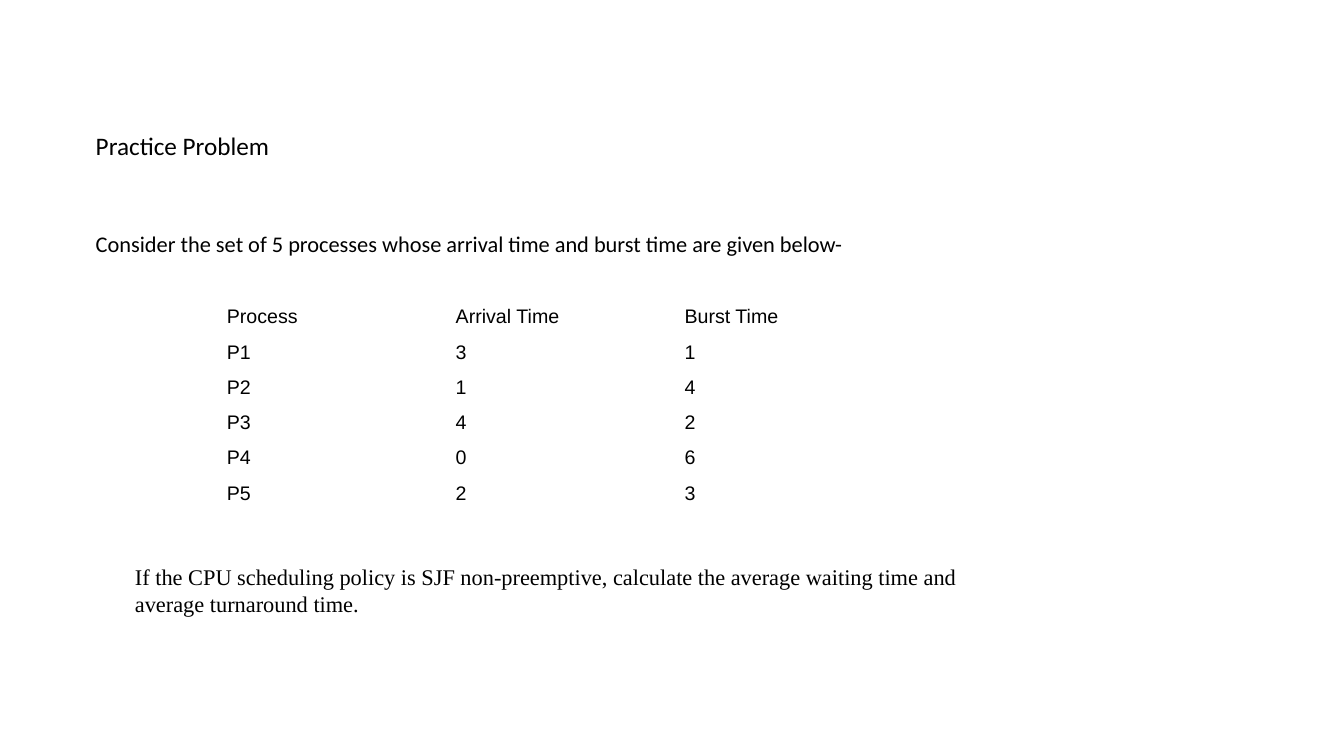
from pptx import Presentation
from pptx.dml.color import RGBColor
from pptx.enum.text import MSO_ANCHOR
from pptx.util import Inches, Pt

BLACK = RGBColor(0, 0, 0)
INTRO = [
    ("Practice Problem", 18, 0),
    ("Consider the set of 5 processes whose arrival time and burst time are given below-", 16, 50),
]
ROWS = [
    ("Process", "Arrival Time", "Burst Time"),
    ("P1", "3", "1"),
    ("P2", "1", "4"),
    ("P3", "4", "2"),
    ("P4", "0", "6"),
    ("P5", "2", "3"),
]
TASK = ("If the CPU scheduling policy is SJF non-preemptive, calculate the "
        "average waiting time and average turnaround time.")
COL_W, ROW_H = 2.27, 0.35


def style(para, face, size):
    for run in para.runs:
        run.font.name = face
        run.font.size = Pt(size)
        run.font.bold = False
        run.font.color.rgb = BLACK


def add_box(slide, *area):
    frame = slide.shapes.add_textbox(*map(Inches, area)).text_frame
    frame.word_wrap = True
    return frame


def add_grid(slide):
    count, width = len(ROWS), len(ROWS[0])
    table = slide.shapes.add_table(
        count, width, Inches(2.15), Inches(2.97),
        Inches(COL_W * width), Inches(ROW_H * count)).table
    table.first_row = False
    table.horz_banding = False
    for col in table.columns:
        col.width = Inches(COL_W)
    for row, words in zip(table.rows, ROWS):
        row.height = Inches(ROW_H)
        for cell, word in zip(row.cells, words):
            cell.text_frame.text = word
            cell.fill.background()
            cell.vertical_anchor = MSO_ANCHOR.MIDDLE
            style(cell.text_frame.paragraphs[0], "Arial", 14)


def main():
    deck = Presentation()
    deck.slide_width, deck.slide_height = Inches(13.33), Inches(7.5)
    slide = deck.slides.add_slide(deck.slide_layouts[6])

    intro = add_box(slide, 0.73, 1.24, 11.87, 5.48)
    intro.margin_left = Inches(0.22)
    intro.text = "\n".join(text for text, size, gap in INTRO)
    for para, (text, size, gap) in zip(intro.paragraphs, INTRO):
        para.space_before = Pt(gap)
        style(para, "Calibri", size)

    add_grid(slide)

    task = add_box(slide, 1.24, 4.61, 8.76, 1.58)
    task.vertical_anchor = MSO_ANCHOR.BOTTOM
    task.margin_bottom = Inches(0.07)
    task.text = TASK
    style(task.paragraphs[0], "Times New Roman", 16)

    deck.save("out.pptx")


if __name__ == "__main__":
    main()
